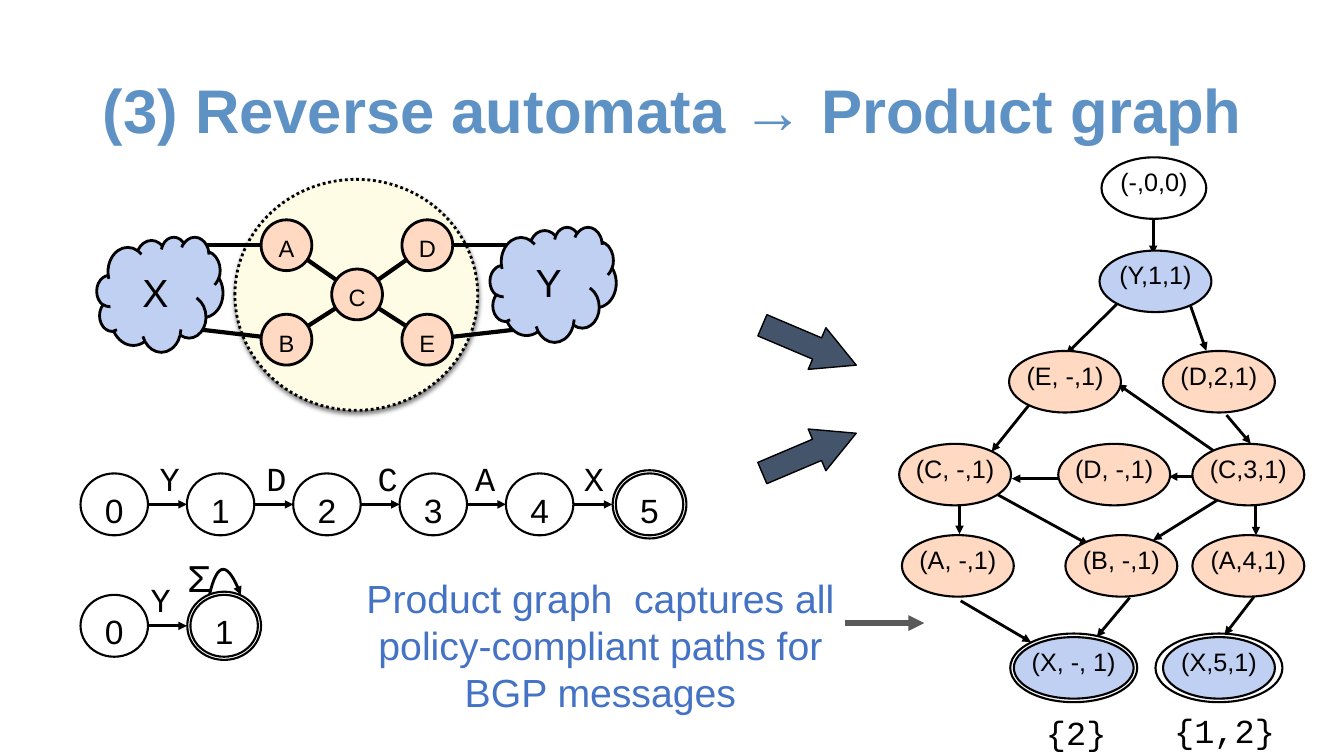
import pptx
import pptx.dml.color
import pptx.enum.dml
import pptx.enum.shapes
import pptx.enum.text
import pptx.oxml
import pptx.oxml.ns
import pptx.util
from pptx.util import Cm

RGBColor = pptx.dml.color.RGBColor
SHAPE = pptx.enum.shapes.MSO_SHAPE
ALIGN = pptx.enum.text.PP_ALIGN
ANCHOR = pptx.enum.text.MSO_ANCHOR

BLACK = RGBColor(0x00, 0x00, 0x00)
WHITE = RGBColor(0xFF, 0xFF, 0xFF)
TITLE_BLUE = RGBColor(0x5E, 0x92, 0xC5)
CAPTION_BLUE = RGBColor(0x44, 0x72, 0xC4)
SLATE = RGBColor(0x44, 0x54, 0x6A)
GRAY = RGBColor(0x59, 0x59, 0x59)
CREAM = RGBColor(0xFE, 0xFC, 0xE4)
PEACH = RGBColor(0xFF, 0xD9, 0xC1)
CLOUD_BLUE = RGBColor(0xBF, 0xD0, 0xF2)

DRAWING = 'xmlns:a="http://schemas.openxmlformats.org/drawingml/2006/main"'


def add_xml(parent, xml):
    parent.append(pptx.oxml.parse_xml(xml))


def write(shape, text, size, font="Arial", color=BLACK, align=ALIGN.CENTER,
          anchor=ANCHOR.MIDDLE, inset=0.1, spacing=None, bold=False):
    frame = shape.text_frame
    frame.word_wrap = True
    frame.vertical_anchor = anchor
    frame.margin_left = frame.margin_right = Cm(inset)
    frame.margin_top = frame.margin_bottom = Cm(inset)
    paragraph = frame.paragraphs[0]
    paragraph.text = text
    paragraph.alignment = align
    paragraph.line_spacing = spacing
    paragraph.font.name = font
    paragraph.font.size = pptx.util.Pt(size)
    paragraph.font.color.rgb = color
    paragraph.font.bold = bold


def add_text(slide, box, text, size, **style):
    write(slide.shapes.add_textbox(*map(Cm, box)), text, size, **style)


def add_figure(slide, kind, box, fill, line_width):
    shape = slide.shapes.add_shape(kind, *map(Cm, box))
    shape.shadow.inherit = False
    shape.fill.solid()
    shape.fill.fore_color.rgb = fill
    shape.line.color.rgb = BLACK
    shape.line.width = pptx.util.Pt(line_width)
    return shape


def add_ellipse(slide, center, size, fill, line_width=1.5):
    (x, y), (width, height) = center, size
    box = (x - width / 2, y - height / 2, width, height)
    return add_figure(slide, SHAPE.OVAL, box, fill, line_width)


def add_arrowhead(shape):
    add_xml(shape.line._get_or_add_ln(), f'<a:tailEnd {DRAWING} type="triangle"/>')


def add_line(slide, start, end, width=2, color=BLACK, arrow=True):
    line = slide.shapes.add_connector(
        pptx.enum.shapes.MSO_CONNECTOR.STRAIGHT, *map(Cm, (*start, *end)))
    line.line.color.rgb = color
    line.line.width = pptx.util.Pt(width)
    if arrow:
        add_arrowhead(line)
    add_xml(line._element.spPr, f"<a:effectLst {DRAWING}/>")


def draw_network(slide, left, top):
    """Topology: five routers in a circle, between two clouds."""
    def place(x, y):
        return left + x, top + y

    area = add_figure(slide, SHAPE.OVAL, (*place(3.48, 0), 6.12, 5.82), CREAM, 2)
    area.line.dash_style = pptx.enum.dml.MSO_LINE.ROUND_DOT
    effects = area._element.spPr.find(pptx.oxml.ns.qn("a:effectLst"))
    add_xml(effects, f'<a:outerShdw {DRAWING} blurRad="38100" dist="25400" dir="5400000">'
                     '<a:srgbClr val="000000"><a:alpha val="50000"/></a:srgbClr></a:outerShdw>')

    routers = {"A": place(4.78, 1.66), "C": place(6.56, 2.9), "D": place(8.33, 1.66),
               "E": place(8.33, 4.04), "B": place(4.78, 4.04)}
    cloud_ends = {"A": place(2.49, 1.66), "B": place(2.23, 3.74),
                  "D": place(10.87, 1.66), "E": place(10.77, 3.76)}
    for name, cloud_end in cloud_ends.items():
        add_line(slide, routers["C"], routers[name], 3, arrow=False)
        add_line(slide, cloud_end, routers[name], 3, arrow=False)
    for name, center in routers.items():
        router = add_ellipse(slide, center, (1.28, 1.28), PEACH, 2)
        write(router, name, 16.9, inset=0)
        router.text_frame.margin_top = Cm(0.15)
    for name, x, y in (("X", 0, 1.45), ("Y", 9.91, 1.2)):
        cloud = add_figure(slide, SHAPE.CLOUD, (*place(x, y), 3.18, 2.9), CLOUD_BLUE, 2)
        write(cloud, name, 28)


def draw_automaton(slide, left, top, labels):
    """A row of numbered states; labels holds (letter, centre) per step."""
    width, height, step = 1.7, 1.56, 2.68
    middle = top + height / 2
    final = len(labels)
    for state in range(final + 1):
        x = left + state * step + width / 2
        if state == final:
            x += 0.09
            add_ellipse(slide, (x, middle), (1.86, 1.72), WHITE)
        circle = add_ellipse(slide, (x, middle), (width, height), WHITE)
        write(circle, str(state), 24, anchor=ANCHOR.BOTTOM, inset=0, spacing=0.4)
    for index, (letter, center) in enumerate(labels):
        start = left + index * step + width
        add_line(slide, (start, middle), (left + (index + 1) * step, middle))
        add_text(slide, (left + center - 1, middle - 1.3, 2, 1.24), letter, 24,
                 font="Courier New", anchor=ANCHOR.BOTTOM)


def draw_loop(slide, left, top):
    """Self-transition on any symbol."""
    controls = ((0, 0.66), (0.2, -0.2), (0.46, -0.2), (0.79, 0.66))
    points = []
    for index in range(17):
        t = index / 16
        weights = ((1 - t) ** 3, 3 * t * (1 - t) ** 2, 3 * t ** 2 * (1 - t), t ** 3)
        points.append([Cm(origin + sum(w * c[axis] for w, c in zip(weights, controls)))
                       for axis, origin in enumerate((left, top))])
    builder = slide.shapes.build_freeform(*points[0])
    builder.add_line_segments(points[1:], close=False)
    loop = builder.convert_to_shape()
    loop.shadow.inherit = False
    loop.fill.background()
    loop.line.color.rgb = BLACK
    loop.line.width = pptx.util.Pt(2)
    add_arrowhead(loop)
    add_text(slide, (left - 0.66, top - 0.48, 1.2, 1.4), "Σ", 28, font="Courier New",
             align=ALIGN.LEFT, anchor=ANCHOR.TOP)


def draw_product_graph(slide, left, top):
    edges = (
        (8.07, 7.5, 5.51, 5.72), (8.2, 8.05, 6.8, 8.05), (6.4, 1.55, 6.4, 2.44),
        (7.34, 3.74, 7.74, 4.88), (8.25, 6.5, 8.86, 7.22), (8.99, 8.79, 8.99, 9.53),
        (8.94, 11.08, 8.2, 12.04), (1.98, 8.23, 4.77, 9.76), (5.81, 11.1, 4.98, 12.09),
        (5.69, 8.1, 2.84, 8.1), (3.35, 6.15, 2.33, 7.42), (8.07, 8.61, 6.4, 9.65),
        (5.56, 3.63, 4.21, 4.96), (1.55, 11.18, 3.32, 12.22), (1.52, 8.66, 1.52, 9.5))
    # Each row: centre height, fill, and its nodes as (label, centre, width)
    rows = (
        (0.78, WHITE, (("(-,0,0)", 6.42, 2.64),)),
        (3.13, CLOUD_BLUE, (("(Y,1,1)", 6.46, 2.82),)),
        (5.66, PEACH, (("(E, -,1)", 4.18, 2.82), ("(D,2,1)", 8.06, 2.82))),
        (8, PEACH, (("(C, -,1)", 1.41, 2.82), ("(D, -,1)", 5.42, 2.82),
                    ("(C,3,1)", 8.8, 2.82))),
        (10.3, PEACH, (("(A, -,1)", 1.48, 2.82), ("(B, -,1)", 5.6, 2.82),
                       ("(A,4,1)", 8.8, 2.82))),
        (12.87, CLOUD_BLUE, (("(X, -, 1)", 4.4, 3.02), ("(X,5,1)", 8.06, 2.82))))
    for x1, y1, x2, y2 in edges:
        add_line(slide, (left + x1, top + y1), (left + x2, top + y2))
    for y, fill, nodes in rows:
        for label, x, width in nodes:
            center = (left + x, top + y)
            if label.startswith("(X"):
                add_ellipse(slide, center, (3.2, 1.73), WHITE)
            node = add_ellipse(slide, center, (width, 1.55), fill)
            write(node, label, 18, inset=0, spacing=0.4)
    for text, x, y, width in (("{2}", 3.6, 13.87, 2.13), ("{1,2}", 6.83, 13.82, 3.1)):
        add_text(slide, (left + x, top + y, width, 1.2), text, 24, font="Courier New",
                 align=ALIGN.LEFT, anchor=ANCHOR.TOP)


def draw_block_arrows(slide, left, top):
    for y, angle in ((0, 23), (2.72, -23)):
        arrow = add_figure(slide, SHAPE.RIGHT_ARROW, (left, top + y, 2.57, 1.14), SLATE, 1)
        arrow.adjustments[0], arrow.adjustments[1] = 0.51, 0.94
        arrow.rotation = angle


def draw_caption(slide, left, top):
    add_text(slide, (left, top, 12.32, 3.78),
             "Product graph  captures all\vpolicy-compliant paths for BGP messages", 28,
             color=CAPTION_BLUE, anchor=ANCHOR.TOP)
    add_line(slide, (left + 12.32, top + 1.32), (left + 14.32, top + 1.32), 3.75, GRAY)


def main():
    presentation = pptx.Presentation()
    presentation.slide_width, presentation.slide_height = Cm(33.87), Cm(19.05)
    slide = presentation.slides.add_slide(presentation.slide_layouts[6])
    add_text(slide, (2.34, 1.02, 29.35, 3.68), "(3) Reverse automata → Product graph", 44,
             color=TITLE_BLUE, align=ALIGN.LEFT, inset=0.25, spacing=0.9, bold=True)
    draw_block_arrows(slide, 19.11, 8.13)
    draw_network(slide, 2.44, 4.52)
    draw_automaton(slide, 2.03, 11.93, (("Y", 2.25), ("D", 4.94), ("C", 7.74),
                                        ("A", 10.2), ("X", 12.94)))
    draw_loop(slide, 5.28, 14.33)
    draw_automaton(slide, 2.03, 14.99, (("Y", 2.02),))
    draw_caption(slide, 8.97, 14.38)
    draw_product_graph(slide, 22.66, 3.96)
    presentation.save("out.pptx")


if __name__ == "__main__":
    main()
